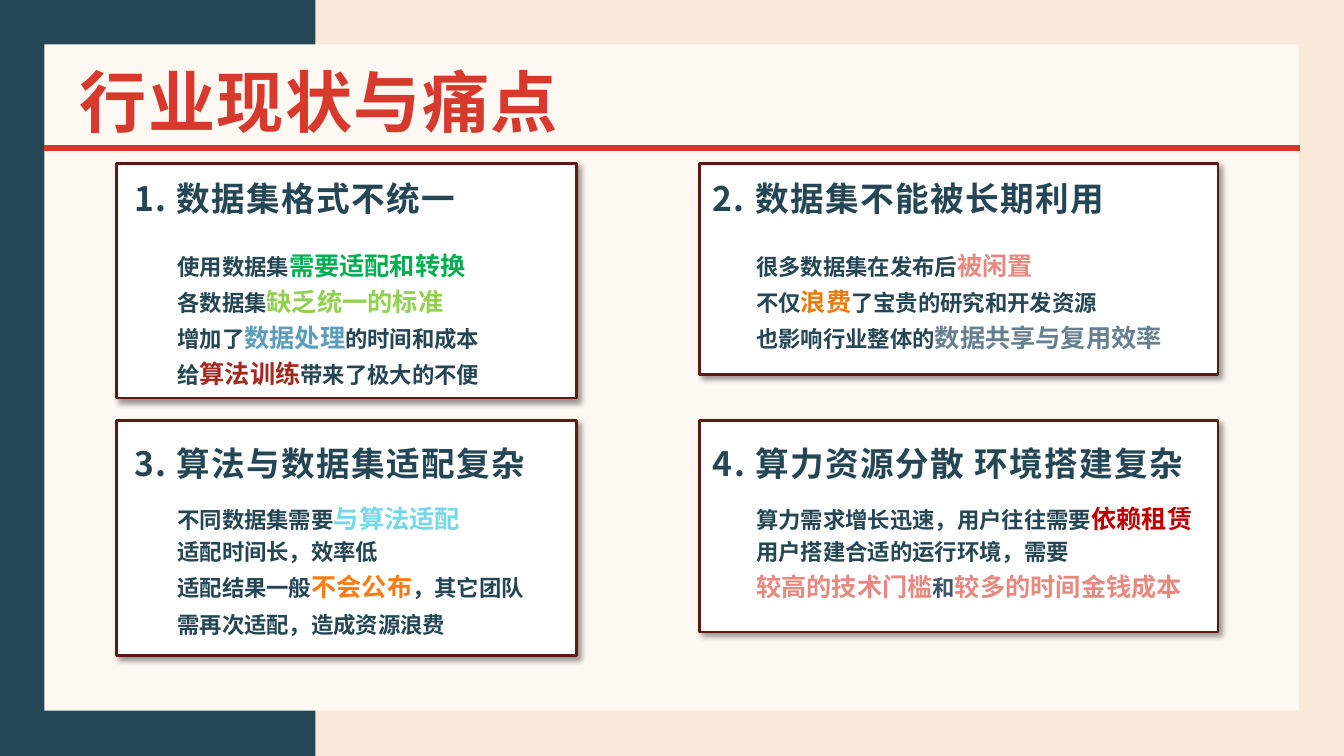
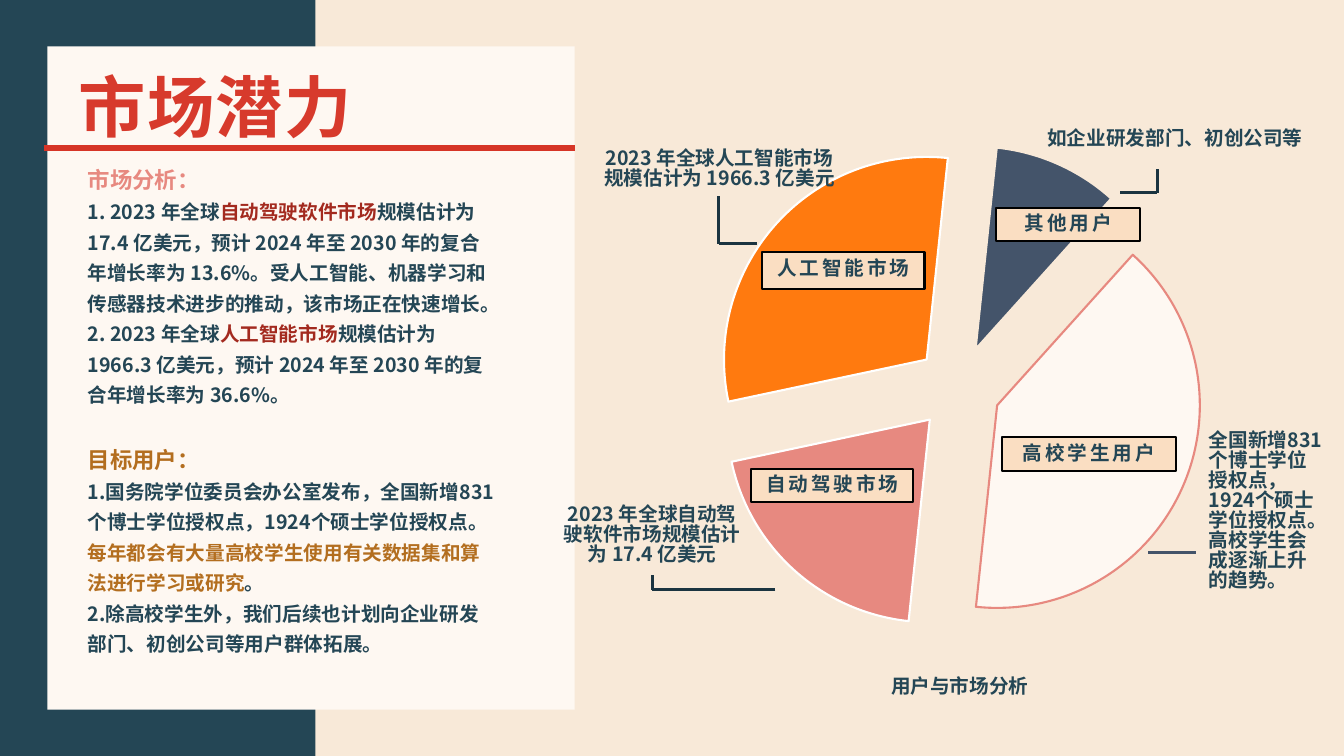
from pptx import Presentation
from pptx.chart.data import CategoryChartData
from pptx.dml.color import RGBColor
from pptx.enum.chart import XL_CHART_TYPE
from pptx.enum.shapes import MSO_CONNECTOR, MSO_SHAPE
from pptx.enum.text import MSO_ANCHOR, PP_ALIGN
from pptx.oxml.ns import qn
from pptx.util import Pt
from lxml import etree

PX = 9144  # 100 px to the inch
FONT = "Noto Sans CJK SC"
LINE_HEIGHT = 1.2  # height of a single-spaced line, in font sizes

RECT = MSO_SHAPE.RECTANGLE
STRAIGHT = MSO_CONNECTOR.STRAIGHT
PIE = XL_CHART_TYPE.PIE
TOP = MSO_ANCHOR.TOP
LEFT, CENTER = PP_ALIGN.LEFT, PP_ALIGN.CENTER

SAND = RGBColor(0xF8, 0xE9, 0xD8)
CREAM = RGBColor(0xFE, 0xF8, 0xF2)
TEAL = RGBColor(0x24, 0x46, 0x55)
DEEP_TEAL = RGBColor(0x1B, 0x34, 0x40)
TITLE_RED = RGBColor(0xD7, 0x3A, 0x2C)
RULE_RED = RGBColor(0xD6, 0x35, 0x27)
MAROON = RGBColor(0x5E, 0x19, 0x13)
BRICK = RGBColor(0xA3, 0x2A, 0x1F)
CRIMSON = RGBColor(0xC0, 0x00, 0x00)
SALMON = RGBColor(0xE7, 0x89, 0x80)
ORANGE = RGBColor(0xFF, 0x7A, 0x0F)
AMBER = RGBColor(0xE6, 0x7C, 0x12)
BROWN = RGBColor(0xB3, 0x6E, 0x1F)
PEACH = RGBColor(0xFA, 0xDE, 0xC2)
GREEN = RGBColor(0x00, 0xB0, 0x50)
LIME = RGBColor(0x92, 0xD0, 0x50)
BLUE = RGBColor(0x5B, 0x9D, 0xBA)
SKY = RGBColor(0x75, 0xD8, 0xE9)
STEEL = RGBColor(0x66, 0x80, 0x91)
SLATE = RGBColor(0x44, 0x54, 0x6A)
WHITE = RGBColor(0xFF, 0xFF, 0xFF)
BLACK = RGBColor(0x00, 0x00, 0x00)

# A run is plain text, or (text, colour), or (text, colour, size).
CARDS = [
    ((116, 162, 456, 233), (120, 176, 440), (163, 235, 374), "1. 数据集格式不统一", [
        ["使用数据集", ("需要适配和转换", GREEN)],
        ["各数据集", ("缺乏统一的标准", LIME)],
        ["增加了", ("数据处理", BLUE), "的时间和成本"],
        ["给", ("算法训练", BRICK), "带来了极大的不便"]]),
    ((694, 162, 514, 210), (694, 176, 500), (737, 235, 437), "2. 数据集不能被长期利用", [
        ["很多数据集在发布后", ("被闲置", SALMON)],
        ["不仅", ("浪费", AMBER), "了宝贵的研究和开发资源"],
        ["也影响行业整体的", ("数据共享与复用效率", STEEL)]]),
    ((116, 417, 456, 233), (120, 438, 471), (163, 486, 374), "3. 算法与数据集适配复杂", [
        ["不同数据集需要", ("与算法适配", SKY)],
        ["适配时间长，效率低"],
        ["适配结果一般", ("不会公布", ORANGE), "，其它团队需再次适配，造成资源浪费"]]),
    ((694, 417, 514, 210), (694, 438, 598), (737, 486, 471), "4. 算力资源分散 环境搭建复杂", [
        ["算力需求增长迅速，用户往往需要", ("依赖租赁", CRIMSON)],
        ["用户搭建合适的运行环境，需要"],
        [("较高的技术门槛", SALMON), ("和", SLATE, 16), ("较多的时间金钱成本", SALMON)]]),
]

MARKET = [
    [("市场分析：", SALMON, 16)],
    ["1. 2023 年全球", ("自动驾驶软件市场", BRICK),
     "规模估计为 17.4 亿美元，预计 2024 年至 2030 年的复合年增长率为 13.6%。"
     "受人工智能、机器学习和传感器技术进步的推动，该市场正在快速增长。"],
    ["2. 2023 年全球", ("人工智能市场", BRICK),
     "规模估计为 1966.3 亿美元，预计 2024 年至 2030 年的复合年增长率为 36.6%。"],
    [("目标用户：", BROWN, 16)],
    ["1.国务院学位委员会办公室发布，全国新增831个博士学位授权点，1924个硕士学位授权点。",
     ("每年都会有大量高校学生使用有关数据集和算法进行学习或研究", BROWN), "。"],
    ["2.除高校学生外，我们后续也计划向企业研发部门、初创公司等用户群体拓展。"],
]
USERS_HEADING = 3

# share, fill, outline
SLICES = [(10, SLATE, SAND), (40, CREAM, SALMON), (20, SALMON, WHITE), (30, ORANGE, WHITE)]

SLICE_LABELS = [
    ((745, 465, 161, 33), "自动驾驶市场"),
    ((756, 250, 161, 37), "人工智能市场"),
    ((988, 206, 143, 33), "其他用户"),
    ((994, 434, 172, 33), "高校学生用户"),
]
CAPTIONS = [
    ((542, 494, 210, 74), "2023 年全球自动驾驶软件市场规模估计为 17.4 亿美元", CENTER),
    ((579, 141, 269, 74), "2023 年全球人工智能市场规模估计为 1966.3 亿美元", CENTER),
    ((1020, 121, 291, 33), "如企业研发部门、初创公司等", CENTER),
    ((1186, 421, 142, 189),
     "全国新增831个博士学位授权点，1924个硕士学位授权点。高校学生会成逐渐上升的趋势。", LEFT),
    ((847, 665, 210, 33), "用户与市场分析", CENTER),
]
LEADERS = [
    ([(1111, 191), (1148, 191), (1148, 168)], DEEP_TEAL, 2),
    ([(751, 242), (713, 242), (713, 194)], DEEP_TEAL, 2),
    ([(769, 585), (647, 585), (647, 570)], DEEP_TEAL, 2),
    ([(1186, 548), (1139, 548)], SLATE, 2.25),
]


def px(*lengths):
    return [n * PX for n in lengths]


def add_rect(s, box, fill, line=None, width=0):
    sp = s.shapes.add_shape(RECT, *px(*box))
    sp.shadow.inherit = False
    sp.fill.solid()
    sp.fill.fore_color.rgb = fill
    if line is None:
        sp.line.fill.background()
    else:
        sp.line.color.rgb = line
        sp.line.width = Pt(width)
    return sp


def cast_shadow(sp):
    """Give a shape a soft shadow to the lower right."""
    effects = sp._element.spPr.find(qn("a:effectLst"))
    shadow = etree.SubElement(effects, qn("a:outerShdw"), blurRad=str(Pt(4)), dist=str(Pt(3)),
                              dir="2700000", algn="tl", rotWithShape="0")
    color = etree.SubElement(shadow, qn("a:srgbClr"), val="000000")
    etree.SubElement(color, qn("a:alpha"), val="40000")


def add_line(s, start, end, color, width):
    c = s.shapes.add_connector(STRAIGHT, *px(*start, *end))
    c.line.color.rgb = color
    c.line.width = Pt(width)
    etree.SubElement(c._element.spPr, qn("a:effectLst"))


def add_run(p, text, color, size, tracking):
    r = p.add_run()
    r.text = text
    for name, value in {"name": FONT, "size": Pt(size), "bold": True}.items():
        setattr(r.font, name, value)
    r.font.color.rgb = color
    rPr = r.font._element
    etree.SubElement(rPr, qn("a:ea"), typeface=FONT)
    if tracking:
        rPr.set("spc", str(tracking * 100))


def write(sp, paragraphs, size, spacing, accent=None, color=TEAL, align=LEFT, tracking=0):
    """Fill a shape with paragraphs; accent is the size of coloured runs."""
    tf = sp.text_frame
    frame = {"word_wrap": True, "vertical_anchor": TOP, "margin_left": 13 * PX,
             "margin_right": 13 * PX, "margin_top": 7 * PX, "margin_bottom": 7 * PX}
    for name, value in frame.items():
        setattr(tf, name, value)
    for i, runs in enumerate(paragraphs):
        p = tf.paragraphs[0] if i == 0 else tf.add_paragraph()
        p.alignment = align
        tallest = size
        for run in runs:
            if isinstance(run, str):
                run = (run, color, size)
            elif len(run) == 2:
                run = (*run, accent or size)
            add_run(p, *run, tracking)
            tallest = max(tallest, run[2])
        p.line_spacing = Pt(round(tallest * LINE_HEIGHT * spacing, 1))


def add_text(s, box, paragraphs, size, spacing, **style):
    sp = s.shapes.add_textbox(*px(*box))
    write(sp, paragraphs, size, spacing, **style)
    return sp


def add_base(prs, panel):
    """Start a slide with the sidebar and a cream panel."""
    s = prs.slides.add_slide(prs.slide_layouts[6])
    s.background.fill.solid()
    s.background.fill.fore_color.rgb = SAND
    add_rect(s, (0, 0, 313, 750), TEAL)
    add_rect(s, panel, CREAM)
    return s


def add_title(s, text, box, rule_end):
    sp = add_text(s, box, [[text]], 48, 1, color=TITLE_RED, tracking=1)
    sp.text_frame.paragraphs[0].line_spacing = Pt(60)
    add_line(s, (44, 147), (rule_end, 147), RULE_RED, 4.5)


def add_card(s, box, heading_at, body_at, heading, body):
    cast_shadow(add_rect(s, box, WHITE, MAROON, 2))
    add_text(s, (*heading_at, 37), [[heading]], 24, 0.85, tracking=1)
    add_text(s, (*body_at, 150), body, 16, 1.2, accent=18)


def add_pie(s, box):
    data = CategoryChartData()
    data.categories = [str(i + 1) for i in range(len(SLICES))]
    data.add_series("Series 1", [share for share, _, _ in SLICES])
    chart = s.shapes.add_chart(PIE, *px(*box), data).chart
    chart.has_legend = False
    chart.has_title = False
    chart.font.name = FONT
    chart.font.size = Pt(10)
    chart.font.color.rgb = BLACK
    plot = chart.plots[0]
    plot.vary_by_categories = True
    series = plot.series[0]
    for i, (_, fill, outline) in enumerate(SLICES):
        fmt = series.points[i].format
        fmt.fill.solid()
        fmt.fill.fore_color.rgb = fill
        fmt.line.color.rgb = outline
        fmt.line.width = Pt(1.5)
    for point in series._element.findall(qn("c:dPt")):
        explosion = etree.Element(qn("c:explosion"), val="21")
        point.find(qn("c:spPr")).addprevious(explosion)
    pie = plot._element
    angle = pie.find(qn("c:firstSliceAng"))
    if angle is None:
        angle = etree.SubElement(pie, qn("c:firstSliceAng"))
    angle.set("val", "6")


def build_pain_points(prs):
    s = add_base(prs, (44, 44, 1244, 661))
    for card in CARDS:
        add_card(s, *card)
    add_title(s, "行业现状与痛点", (66, 50, 529, 96), 1289)


def build_market(prs):
    s = add_base(prs, (47, 46, 523, 658))
    add_pie(s, (563, 128, 775, 514))
    add_title(s, "市场潜力", (65, 54, 475, 208), 570)
    sp = add_text(s, (74, 150, 432, 543), MARKET, 14, 1.3)
    sp.text_frame.paragraphs[USERS_HEADING].space_before = Pt(22)
    for box, text in SLICE_LABELS:
        label = add_rect(s, box, PEACH, BLACK, 1.5)
        write(label, [[text]], 14, 0.85, align=CENTER, tracking=2)
    for box, text, align in CAPTIONS:
        add_text(s, box, [[text]], 14, 0.85, align=align)
    for points, color, width in LEADERS:
        for start, end in zip(points, points[1:]):
            add_line(s, start, end, color, width)


def main():
    prs = Presentation()
    prs.slide_width, prs.slide_height = px(1333, 750)
    build_pain_points(prs)
    build_market(prs)
    prs.save("out.pptx")


if __name__ == "__main__":
    main()
